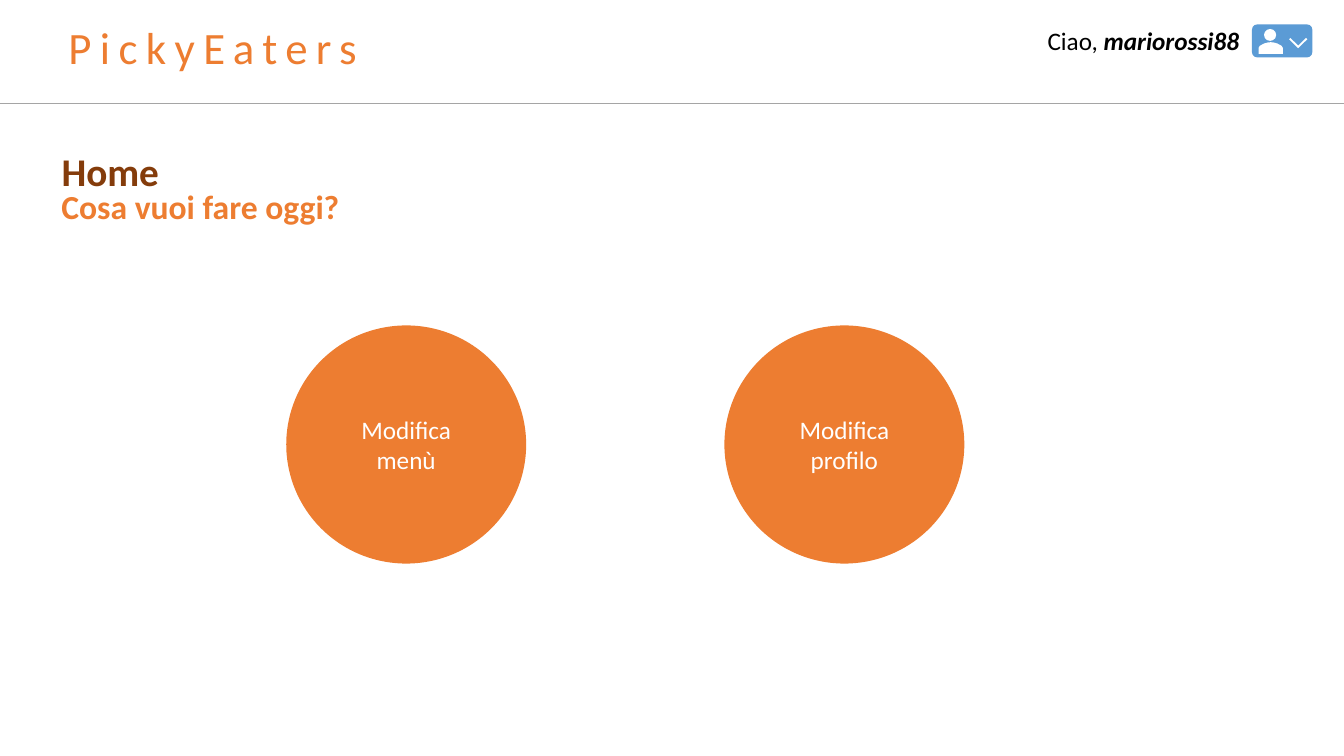
import dataclasses

import pptx
import pptx.dml.color
import pptx.enum.shapes
import pptx.enum.text
import pptx.oxml
import pptx.oxml.ns
import pptx.util

SHAPE = pptx.enum.shapes.MSO_SHAPE
ALIGN = pptx.enum.text.PP_ALIGN
ANCHOR = pptx.enum.text.MSO_ANCHOR
FIT = pptx.enum.text.MSO_AUTO_SIZE


@dataclasses.dataclass(frozen=True)
class Theme:
    """Colours, font and type sizes."""
    font: str = "Calibri"
    orange: str = "ED7D31"
    brown: str = "843C0B"
    blue: str = "5B9BD5"
    grey: str = "A5A5A5"
    white: str = "FFFFFF"
    black: str = "000000"
    brand: int = 32
    title: int = 28
    lead: int = 24
    text: int = 18
    rule: float = 0.5


THEME = Theme()


def share(box, left, top, wide, high):
    """Return the part of a box given in percent of its sides."""
    x, y, w, h = box
    return (int(x + w * left / 100), int(y + h * top / 100),
            int(w * wide / 100), int(h * high / 100))


def color(code):
    """Turn a hex code into a colour."""
    return pptx.dml.color.RGBColor.from_string(code)


def style(font, size, code, bold=None):
    """Set the face, size and colour of a font."""
    font.name = THEME.font
    font.size = pptx.util.Pt(size)
    font.bold = bold
    font.color.rgb = color(code)


def paint(shape, code):
    """Give a shape a flat fill without line or shadow."""
    shape.shadow.inherit = False
    shape.fill.solid()
    shape.fill.fore_color.rgb = color(code)
    shape.line.fill.background()
    return shape


def label(slide, box, words, size, code, bold=None, wrap=False):
    """Add a text box and return its paragraph."""
    frame = slide.shapes.add_textbox(*box).text_frame
    frame.word_wrap = wrap
    para = frame.paragraphs[0]
    for word in words:
        para.add_run().text = word
    style(para.font, size, code, bold)
    return para


def outline(shapes, box, points):
    """Draw a white closed outline from percent points of a box."""
    spots = [share(box, x, y, 0, 0)[:2] for x, y in points]
    pen = shapes.build_freeform(*spots[0], scale=1.0)
    pen.add_line_segments(spots[1:], close=True)
    paint(pen.convert_to_shape(), THEME.white)


def badge(slide, box):
    """Draw the user menu button."""
    shapes = slide.shapes.add_group_shape().shapes
    paint(shapes.add_shape(SHAPE.ROUNDED_RECTANGLE, *box), THEME.blue)
    outline(shapes, box, [(76.5, 72), (61.5, 45), (63.5, 41), (76.5, 64),
                          (89.5, 41), (91.5, 45)])
    paint(shapes.add_shape(SHAPE.OVAL, *share(box, 20, 14, 20, 36)),
          THEME.white)
    outline(shapes, box, [(11, 89), (11, 71), (13, 65), (20, 58), (26, 55),
                          (31, 54), (36, 55), (42, 58), (49, 65), (51, 71),
                          (51, 89)])


def header(slide, box):
    """Draw the brand, greeting, user menu and rule."""
    x, y, w, h = box
    rule = slide.shapes.add_connector(
        pptx.enum.shapes.MSO_CONNECTOR.STRAIGHT, x, y + h, x + w, y + h)
    rule.line.color.rgb = color(THEME.grey)
    rule.line.width = pptx.util.Pt(THEME.rule)
    rule._element.spPr.append(pptx.oxml.parse_xml(
        "<a:effectLst %s/>" % pptx.oxml.ns.nsdecls("a")))
    brand = label(slide, share(box, 4.35, 14.5, 27.6, 62), ["PickyEaters"],
                  THEME.brand, THEME.orange, wrap=True)
    brand.runs[0].font._element.set("spc", "600")
    hello = label(slide, share(box, 77.2, 19.4, 16, 39),
                  ["Ciao, ", "mariorossi88"], THEME.text, THEME.black)
    hello.runs[1].font.bold = hello.runs[1].font.italic = True
    badge(slide, share(box, 93.15, 23.5, 4.5, 32))


def choice(slide, box, text):
    """Draw one round choice."""
    disc = paint(slide.shapes.add_shape(SHAPE.OVAL, *box), THEME.orange)
    frame = disc.text_frame
    frame.word_wrap = True
    frame.vertical_anchor = ANCHOR.MIDDLE
    para = frame.paragraphs[0]
    para.text = text
    para.alignment = ALIGN.CENTER
    style(para.font, THEME.text, THEME.white)


def body(slide, box):
    """Draw the title, question and choices."""
    for i, text in enumerate(["Modifica menù", "Modifica profilo"]):
        choice(slide, share(box, 21.3 + 32.6 * i, 34, 17.85, 36.5), text)
    label(slide, share(box, 3.83, 11.9, 22.4, 7.7), ["Cosa vuoi fare oggi?"],
          THEME.lead, THEME.orange, True)
    title = slide.shapes.title
    title.left, title.top, title.width, title.height = share(
        box, 3.83, 6, 8.85, 8.8)
    frame = title.text_frame
    frame.text = "Home"
    frame.word_wrap = False
    frame.auto_size = FIT.NONE
    frame.vertical_anchor = ANCHOR.TOP
    para = frame.paragraphs[0]
    para.alignment = ALIGN.LEFT
    style(para.font, THEME.title, THEME.brown, True)


def main():
    """Build and save the slide."""
    deck = pptx.Presentation()
    deck.slide_width = pptx.util.Inches(13.33)
    deck.slide_height = pptx.util.Inches(7.5)
    slide = deck.slides.add_slide(deck.slide_layouts[5])
    page = (0, 0, deck.slide_width, deck.slide_height)
    header(slide, share(page, 0, 0, 100, 13.7))
    body(slide, share(page, 0, 13.7, 100, 86.3))
    deck.save("out.pptx")


if __name__ == "__main__":
    main()
